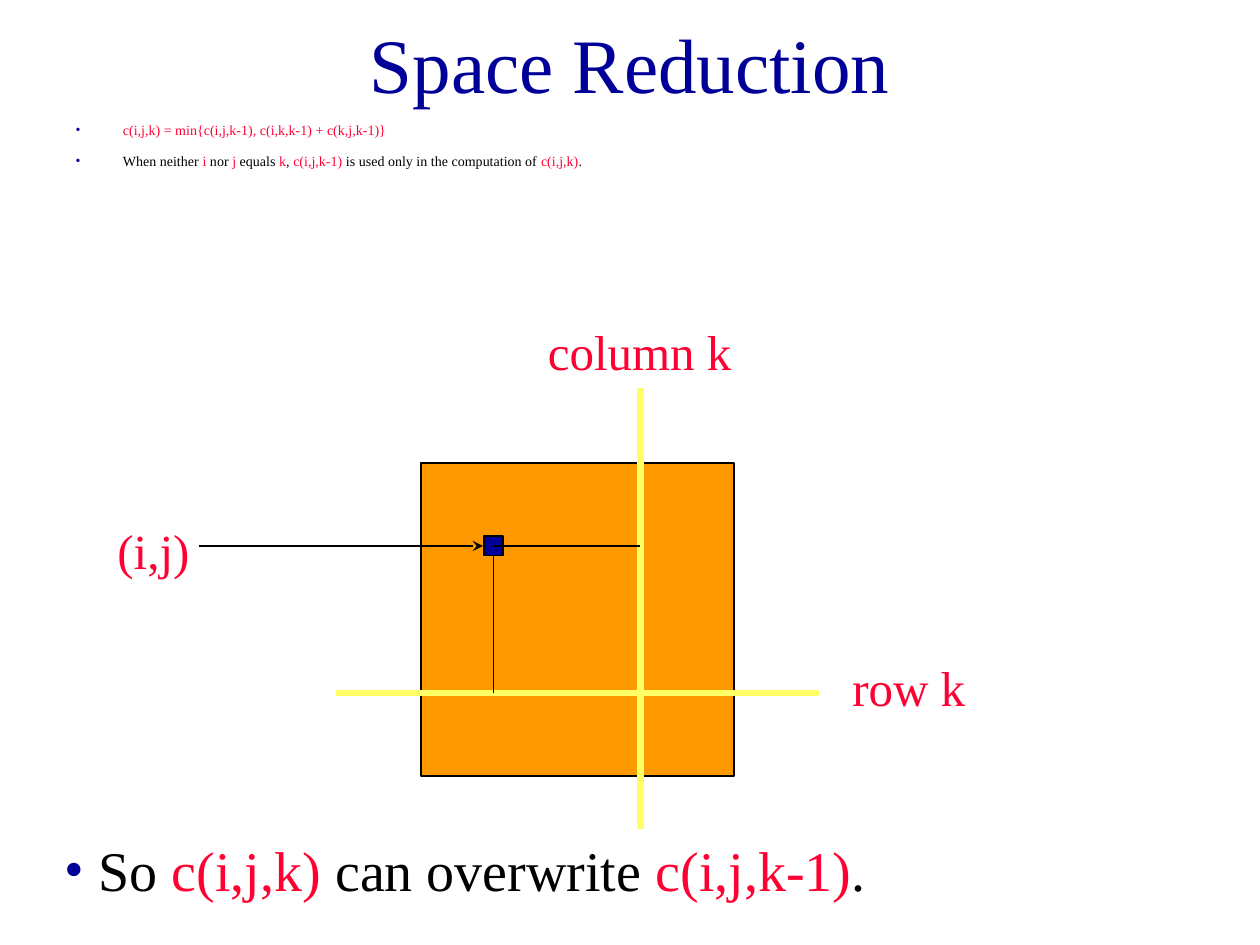
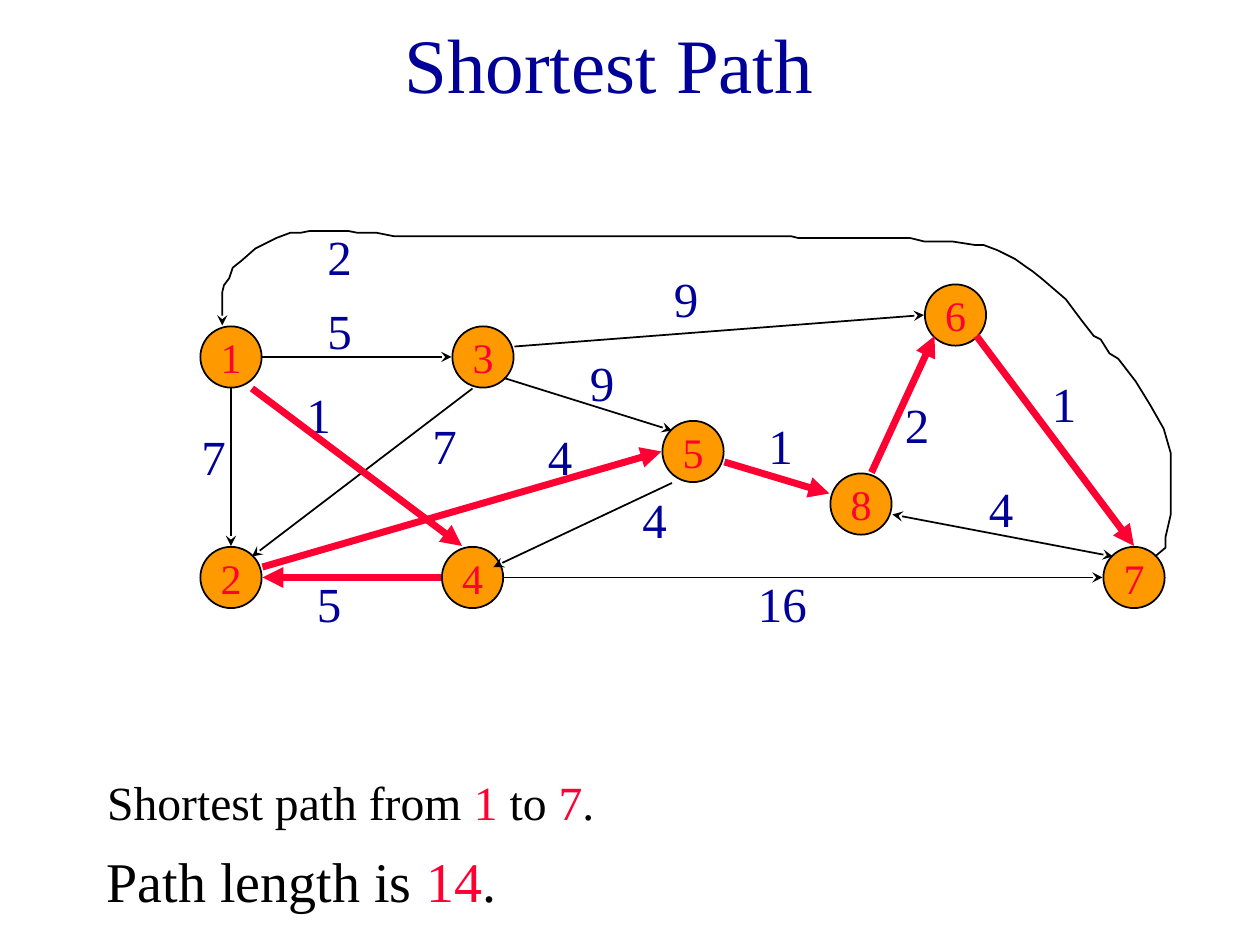
from lxml import etree
from pptx import Presentation
from pptx.dml.color import RGBColor
from pptx.enum.shapes import MSO_CONNECTOR, MSO_SHAPE
from pptx.enum.text import MSO_ANCHOR, MSO_AUTO_SIZE, PP_ALIGN
from pptx.oxml.ns import qn
from pptx.util import Pt

STRAIGHT = MSO_CONNECTOR.STRAIGHT
RECT, OVAL = MSO_SHAPE.RECTANGLE, MSO_SHAPE.OVAL
TOP, MIDDLE = MSO_ANCHOR.TOP, MSO_ANCHOR.MIDDLE
FIXED, GROW = MSO_AUTO_SIZE.NONE, MSO_AUTO_SIZE.SHAPE_TO_FIT_TEXT
LEFT, CENTER = PP_ALIGN.LEFT, PP_ALIGN.CENTER

NAVY = RGBColor(0x00, 0x00, 0x99)
RED = RGBColor(0xFF, 0x00, 0x33)
ORANGE = RGBColor(0xFF, 0x99, 0x00)
YELLOW = RGBColor(0xFF, 0xFF, 0x66)
BLACK = RGBColor(0x00, 0x00, 0x00)
FONT = "Times New Roman"
HANG = 27
THIN, THICK = 1, 4

# Runs alternate between black and red, starting with black.
RECURRENCE = [
    ["", "c(i,j,k) = min{c(i,j,k-1), c(i,k,k-1) + c(k,j,k-1)}"],
    ["When neither ", "i", " nor ", "j", " equals ", "k", ", ", "c(i,j,k-1)",
     " is used only in the computation of ", "c(i,j,k)", "."],
]
OVERWRITE = [[" So ", "c(i,j,k) ", "can overwrite ", "c(i,j,k-1)", "."]]
PATH_ENDS = [["Shortest path from ", "1 ", "to ", "7", "."]]
PATH_LENGTH = [["Path length is ", "14", "."]]

MATRIX_CENTER, MATRIX_SIDE = (330, 354), 179
CELL_CENTER, CELL_SIDE = (282, 312), 11
COLUMN_X, ROW_Y = 366, 396
MATRIX_LABELS = [("column k", 306, 180, 126), ("row k", 480, 372, 126),
                 ("(i,j)", 60, 294, 60)]

NODE_SIZE = 35
NODES = {"1": (132, 204), "2": (132, 330), "3": (276, 204), "4": (270, 330),
         "5": (396, 258), "6": (546, 180), "7": (648, 330), "8": (492, 288)}
OTHER_EDGES = [
    ((132, 222), (132, 312)), ((150, 204), (258, 204)),
    ((270, 222), (144, 318)), ((288, 216), (384, 246)),
    ((384, 276), (282, 324)), ((288, 330), (630, 330)),
    ((294, 198), (528, 180)),
]
TWO_WAY_EDGE = ((510, 294), (636, 318))
PATH_EDGES = [
    ((144, 222), (264, 312)), ((252, 330), (150, 330)),
    ((150, 324), (378, 258)), ((414, 264), (474, 282)),
    ((498, 270), (534, 192)), ((558, 192), (648, 312)),
]
WEIGHTS = [
    ("5", 180, 168), ("7", 108, 240), ("1", 168, 216), ("7", 240, 234),
    ("9", 378, 150), ("1", 432, 234), ("9", 330, 198), ("4", 306, 240),
    ("4", 360, 276), ("5", 174, 324), ("16", 426, 324), ("4", 558, 270),
    ("2", 180, 126), ("1", 594, 210), ("2", 510, 222),
]
RETURN_EDGE = [
    (660, 318), (666, 313), (666, 307), (669, 294), (669, 259), (665, 245),
    (657, 231), (649, 218), (639, 205), (634, 202), (629, 194), (625, 192),
    (618, 183), (609, 171), (595, 159), (590, 155), (587, 153), (580, 148),
    (570, 143), (562, 140), (557, 140), (544, 138), (528, 138), (520, 136),
    (456, 136), (452, 135), (225, 135), (215, 133), (204, 133), (199, 132),
    (177, 132), (172, 133), (166, 133), (158, 136), (146, 142), (138, 149),
    (133, 153), (131, 159), (128, 163), (127, 167), (127, 186),
]


def sub(parent, tag, **attrs):
    return etree.SubElement(parent, qn(tag), attrs)


def place(sp, box):
    sp.left, sp.top, sp.width, sp.height = map(Pt, box)


def write(sp, paragraphs, size, colors=(BLACK, RED), before=0, hang=0,
          bullet=None, align=LEFT, anchor=TOP, fit=FIXED):
    tf = sp.text_frame
    tf.word_wrap = True
    tf.auto_size = fit
    tf.vertical_anchor = anchor
    for i, texts in enumerate(paragraphs):
        p = tf.add_paragraph() if i else tf.paragraphs[0]
        p.alignment = align
        p.space_before = Pt(before)
        pPr = p._p.get_or_add_pPr()
        pPr.set("marL", str(Pt(hang)))
        pPr.set("indent", str(-Pt(hang)))
        if bullet:
            sub(sub(pPr, "a:buClr"), "a:srgbClr", val=str(NAVY))
            sub(pPr, "a:buFont", typeface=FONT)
            sub(pPr, "a:buChar", char=bullet)
        else:
            sub(pPr, "a:buNone")
        p.font.name = FONT
        p.font.size = Pt(size)
        for j, text in enumerate(texts):
            if text:
                r = p.add_run()
                r.text = text
                r.font.color.rgb = colors[j % len(colors)]


def add_text(slide, box, paragraphs, size, **style):
    sp = slide.shapes.add_textbox(*map(Pt, box))
    write(sp, paragraphs, size, **style)


def add_label(slide, text, x, y, width, color):
    add_text(slide, (x, y, width, 41), [[text]], 28, colors=[color],
             before=17.5, fit=GROW)


def add_solid(slide, kind, center, size, color):
    x, y = center
    sp = slide.shapes.add_shape(kind, Pt(x - size / 2), Pt(y - size / 2),
                                Pt(size), Pt(size))
    sp.shadow.inherit = False
    sp.fill.solid()
    sp.fill.fore_color.rgb = color
    sp.line.color.rgb = BLACK
    sp.line.width = Pt(THIN)
    return sp


def style_line(sp, color, width, head=None, tail=None):
    sp.line.color.rgb = color
    sp.line.width = Pt(width)
    ln = sp.line._get_or_add_ln()
    for tag, kind in (("a:headEnd", head), ("a:tailEnd", tail)):
        if kind:
            sub(ln, tag, type=kind)


def add_line(slide, start, end, color=BLACK, width=THIN, head=None, tail=None):
    cx = slide.shapes.add_connector(STRAIGHT, *map(Pt, start + end))
    style_line(cx, color, width, head, tail)
    sub(cx._element.spPr, "a:effectLst")


def add_slide(prs, title, title_left, body_box, body, size, **style):
    slide = prs.slides.add_slide(prs.slide_layouts[1])
    place(slide.shapes.title, (title_left, 0, 612, 72))
    write(slide.shapes.title, [[title]], 44, colors=[NAVY], align=CENTER,
          anchor=MIDDLE)
    place(slide.placeholders[1], body_box)
    write(slide.placeholders[1], body, size, before=8, hang=HANG, **style)
    return slide


def build_space_reduction(prs):
    slide = add_slide(prs, "Space Reduction", 54, (36, 66, 654, 30),
                      RECURRENCE, 8, bullet="•")
    add_solid(slide, RECT, MATRIX_CENTER, MATRIX_SIDE, ORANGE)
    add_line(slide, (COLUMN_X, 222), (COLUMN_X, 474), YELLOW, THICK)
    add_line(slide, (192, ROW_Y), (468, ROW_Y), YELLOW, THICK)
    for text, x, y, width in MATRIX_LABELS:
        add_label(slide, text, x, y, width, RED)
    add_solid(slide, RECT, CELL_CENTER, CELL_SIDE, NAVY)
    cell_x, cell_y = CELL_CENTER
    add_line(slide, (cell_x, cell_y + 6), (cell_x, ROW_Y))
    add_line(slide, CELL_CENTER, (COLUMN_X, cell_y))
    add_line(slide, (114, cell_y), (cell_x - 6, cell_y), tail="stealth")
    add_text(slide, (30, 474, 594, 45), OVERWRITE, 32, before=20, bullet="•",
             fit=GROW)


def build_shortest_path(prs):
    slide = add_slide(prs, "Shortest Path", 42, (54, 438, 612, 42),
                      PATH_ENDS, 27.2)
    for name, center in NODES.items():
        sp = add_solid(slide, OVAL, center, NODE_SIZE, ORANGE)
        tf = sp.text_frame
        tf.margin_left = tf.margin_right = tf.margin_top = tf.margin_bottom = 0
        write(sp, [[name]], 24, colors=[RED], align=CENTER, anchor=MIDDLE)
    for start, end in OTHER_EDGES:
        add_line(slide, start, end, tail="stealth")
    add_line(slide, *TWO_WAY_EDGE, head="stealth", tail="stealth")
    for text, x, y in WEIGHTS:
        add_label(slide, text, x, y, 30 * len(text), NAVY)
    fb = slide.shapes.build_freeform(*RETURN_EDGE[0], scale=Pt(1))
    fb.add_line_segments(RETURN_EDGE[1:], close=False)
    sp = fb.convert_to_shape()
    sp.shadow.inherit = False
    sp.fill.background()
    style_line(sp, BLACK, THIN, tail="stealth")
    for start, end in PATH_EDGES:
        add_line(slide, start, end, RED, THICK, tail="triangle")
    add_text(slide, (54, 480, 612, 42), PATH_LENGTH, 32, before=8, hang=HANG)


def main():
    prs = Presentation()
    prs.slide_width, prs.slide_height = Pt(720), Pt(540)
    build_space_reduction(prs)
    build_shortest_path(prs)
    prs.save("out.pptx")


if __name__ == "__main__":
    main()
